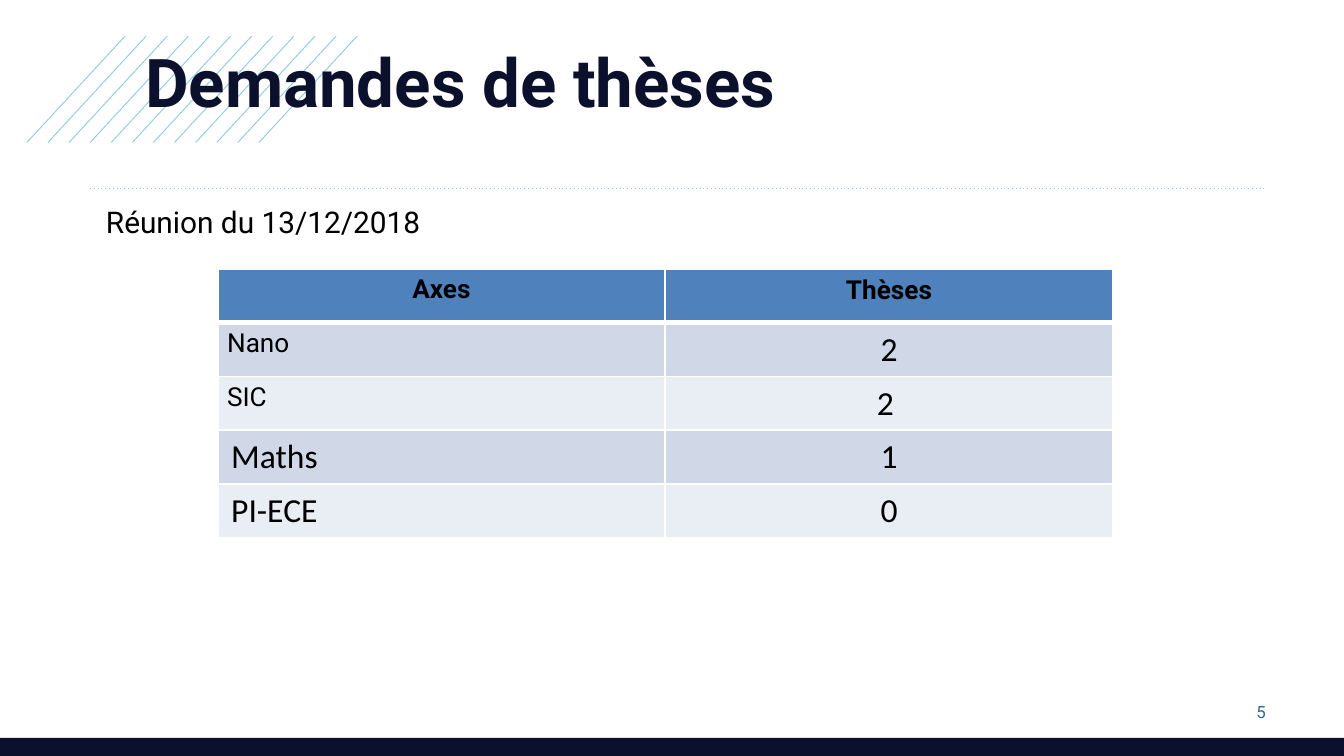
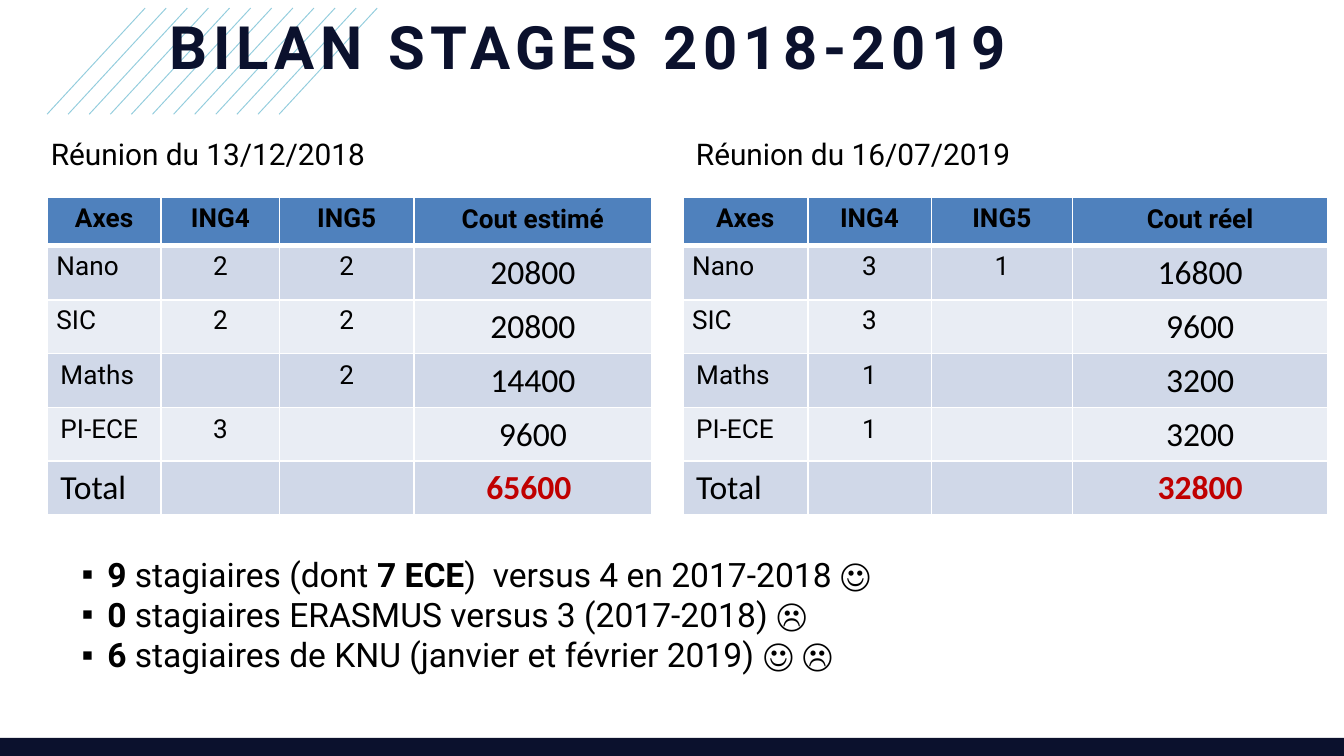
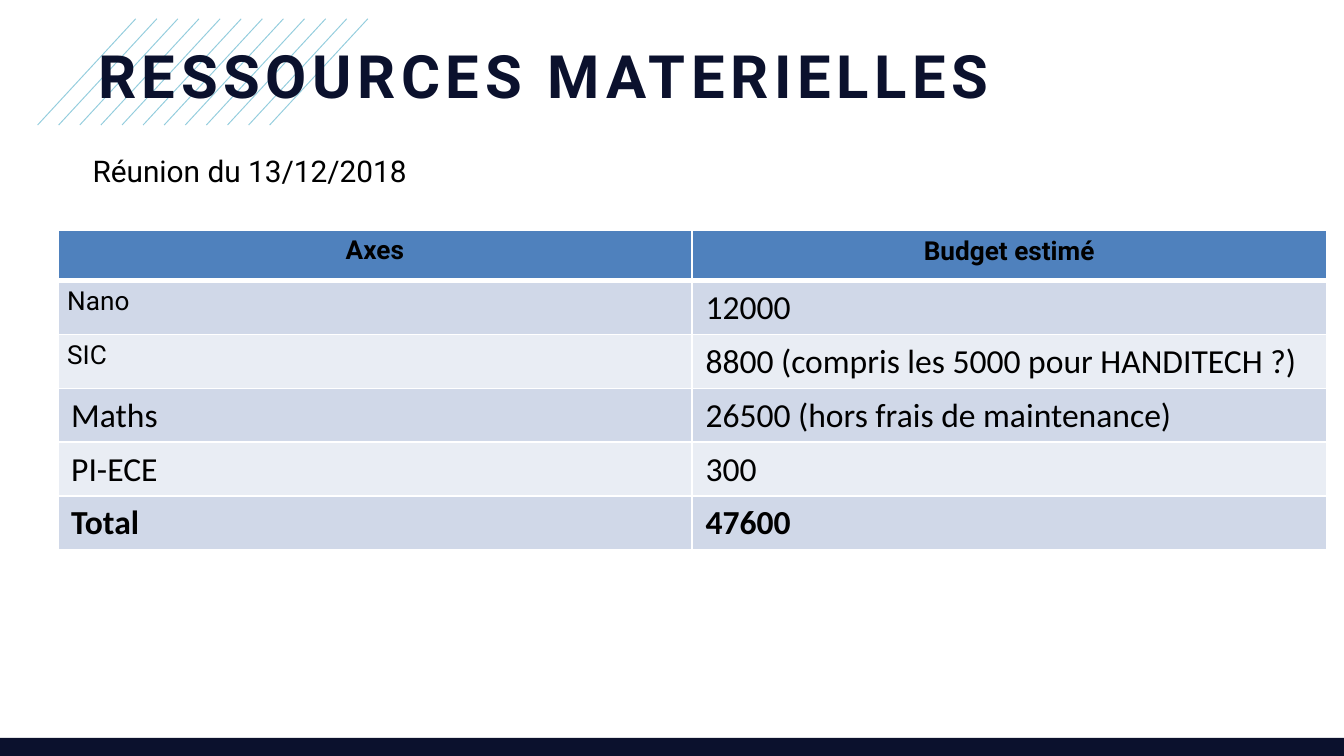
from pptx import Presentation
from pptx.dml.color import RGBColor
from pptx.enum import dml, shapes, text
from pptx.oxml import parse_xml
from pptx.oxml.ns import nsdecls
from pptx.util import Inches, Pt

NAVY, SKY, BLUE, RED = "0B112D", "93CDDD", "336699", "C00000"
HEAD, BANDS = "4F81BD", ("E9EDF4", "D0D8E8")
BLACK, WHITE = "000000", "FFFFFF"
LEFT, MID = text.PP_ALIGN.LEFT, text.PP_ALIGN.CENTER


def tint(part, code):
    """Give a font, fill or line its colour from a hex string."""
    if hasattr(part, "solid"):
        part.solid()
        part.fore_color.rgb = RGBColor.from_string(code)
    else:
        part.color.rgb = RGBColor.from_string(code)


def put(para, words, size, code=BLACK, bold=False, face="Roboto"):
    """Add one formatted run to a paragraph."""
    run = para.add_run()
    run.text = words
    run.font.size, run.font.name, run.font.bold = Pt(size), face, bold
    tint(run.font, code)
    return run


# Per table: place, column widths, header and body row heights, count of body
# rows in small type, alignment of last column, rows of text.
# Per slide: title, its place and size, tracking, hatch corner, dates, tables.
pages = [
    dict(
        title="Demandes de thèses", at=(0.98, 0.25, 9.14, 0.71), size=36, track=0,
        hatch=(0.2, 0.27),
        dates=[("Réunion du 13/12/2018", 0.69, 1.47)],
        tables=[
            dict(at=(1.62, 2), cols=(3.33, 3.33), high=(0.4, 0.4), small=2, side=MID,
                 rows=[("Axes", "Thèses"), ("Nano", "2"), ("SIC", "2 "),
                       ("Maths", "1"), ("PI-ECE", "0")]),
        ],
    ),
    dict(
        title="BILAN STAGES 2018-2019", at=(1.16, 0.02, 8.23, 0.64), size=32, track=3,
        hatch=(0.35, 0.06),
        dates=[("Réunion du 13/12/2018", 0.28, 0.96),
               ("Réunion du 16/07/2019", 5.08, 0.96)],
        tables=[
            dict(at=(0.35, 1.47), cols=(0.85, 0.88, 1, 1.77), high=(0.36, 0.4),
                 small=4, side=MID, sum=RED,
                 rows=[("Axes", "ING4", "ING5", "Cout estimé"),
                       ("Nano", "2", "2", "20800"),
                       ("SIC", "2", "2", "20800"),
                       ("Maths", "", "2", "14400"),
                       ("PI-ECE", "3", "", "9600"),
                       ("Total", "", "", "65600 ")]),
            dict(at=(5.08, 1.47), cols=(0.93, 0.92, 1.05, 1.9), high=(0.36, 0.4),
                 small=4, side=MID, sum=RED,
                 rows=[("Axes", "ING4", "ING5", "Cout réel"),
                       ("Nano", "3", "1", "16800"),
                       ("SIC", "3", "", "9600"),
                       ("Maths", "1", "", "3200"),
                       ("PI-ECE", "1", "", "3200"),
                       ("Total", "", "", "32800")]),
        ],
    ),
    dict(
        title="RESSOURCES MATERIELLES", at=(0.63, 0.24, 8.23, 0.64), size=32, track=3,
        hatch=(0.28, 0.14),
        dates=[("Réunion du 13/12/2018", 0.59, 1.09)],
        tables=[
            dict(at=(0.43, 1.71), cols=(4.72, 4.72), high=(0.38, 0.4), small=2,
                 side=LEFT, sum=BLACK,
                 rows=[("Axes", "Budget estimé"), ("Nano", "12000"),
                       ("SIC", "8800 (compris les 5000 pour HANDITECH ?)"),
                       ("Maths", "26500 (hors frais de maintenance)"),
                       ("PI-ECE", "300"), ("Total", "47600")]),
        ],
    ),
]

deck = Presentation()
deck.slide_width = Inches(10)
deck.slide_height = deck.slide_width * 9 // 16
slides = []

for page in pages:
    slide = deck.slides.add_slide(deck.slide_layouts[5])
    slides.append(slide)

    # Hatching behind the title, and the dotted rule of the first slide
    x, y = page["hatch"]
    group = slide.shapes.add_group_shape()
    lines = [(group, x + 0.73 + i * 0.157, y, x + i * 0.157, y + 0.79) for i in range(12)]
    if page is pages[0]:
        lines.append((slide, 0.67, 1.4, 9.41, 1.4))
    for owner, *ends in lines:
        line = owner.shapes.add_connector(
            shapes.MSO_CONNECTOR.STRAIGHT, *[Inches(v) for v in ends])
        tint(line.line, SKY)
        line.line.width = Pt(0.5)
        line._element.spPr.append(parse_xml(f"<a:effectLst {nsdecls('a')}/>"))
        if owner is slide:
            line.line.dash_style = dml.MSO_LINE.ROUND_DOT
            line._element.xpath(".//a:prstDash")[0].set("val", "dot")

    band = slide.shapes.add_shape(
        shapes.MSO_SHAPE.RECTANGLE, 0, Inches(5.49), Inches(10), Inches(0.14))
    band.shadow.inherit = False
    tint(band.fill, NAVY)
    band.line.fill.background()

    title = slide.shapes.title
    slide.shapes._spTree.append(title._element)  # bring in front of the hatching
    title.left, title.top, title.width, title.height = [Inches(v) for v in page["at"]]
    frame = title.text_frame
    frame.word_wrap = True
    frame.auto_size = text.MSO_AUTO_SIZE.SHAPE_TO_FIT_TEXT
    frame.vertical_anchor = text.MSO_ANCHOR.TOP
    frame.paragraphs[0].alignment = LEFT
    run = put(frame.paragraphs[0], page["title"], page["size"], NAVY, True)
    run.font._element.set("spc", str(page["track"] * 100))

    for words, x, y in page["dates"]:
        box = slide.shapes.add_textbox(Inches(x), Inches(y), Inches(3.15), Inches(0.67))
        box.text_frame.word_wrap = True
        put(box.text_frame.paragraphs[0], words, 16)

    for data in page["tables"]:
        rows, cols = data["rows"], data["cols"]
        first, rest = data["high"]
        high = [first] + [rest] * (len(rows) - 1)
        x, y = data["at"]
        grid = slide.shapes.add_table(
            len(rows), len(cols), Inches(x), Inches(y),
            Inches(sum(cols)), Inches(sum(high))).table
        grid.horz_banding = False
        for col, wide in zip(grid.columns, cols):
            col.width = Inches(wide)
        for r, row in enumerate(rows):
            grid.rows[r].height = Inches(high[r])
            for c, words in enumerate(row):
                cell = grid.cell(r, c)
                last = c == len(row) - 1
                for edge in "LRTB":
                    thick = 3 if (r, edge) in ((0, "B"), (1, "T")) else 1
                    cell._tc.get_or_add_tcPr().append(parse_xml(
                        f'<a:ln{edge} {nsdecls("a")} w="{Pt(thick)}"><a:solidFill>'
                        f'<a:srgbClr val="{WHITE}"/></a:solidFill></a:ln{edge}>'))
                tint(cell.fill, BANDS[r % 2] if r else HEAD)
                if r < 3 and not last:
                    cell.margin_left = cell.margin_right = Inches(0.07)
                    cell.margin_top = cell.margin_bottom = Inches(0.04)
                para = cell.text_frame.paragraphs[0]
                if r == 0:
                    para.alignment = MID
                elif c:
                    para.alignment = data["side"] if last else MID
                if not words:
                    continue
                total = row[0] == "Total"
                code = data["sum"] if total and last else BLACK
                bold = r == 0 or total and (last or data["sum"] == BLACK)
                if r == 0 or r <= data["small"] and not last:
                    put(para, words, 14, code, bold)
                else:
                    put(para, words, 18, code, bold, "Calibri")

# Page number of the first slide
box = slides[0].shapes.add_textbox(Inches(9.25), Inches(5.1), Inches(2.33), Inches(0.39))
box.text_frame.word_wrap = True
box.text_frame.vertical_anchor = text.MSO_ANCHOR.MIDDLE
put(box.text_frame.paragraphs[0], "5", 9, BLUE)

# Trainee counts of the second slide: runs alternate bold and plain
notes = [
    ("9", " stagiaires (dont ", "7 ECE", ")  versus 4 en 2017-2018 ☺"),
    ("0", " stagiaires ERASMUS versus 3 (2017-2018) ☹"),
    ("6", " stagiaires de KNU (janvier et février 2019) ☺ ☹"),
]
box = slides[1].shapes.add_textbox(Inches(0.51), Inches(4.07), Inches(7.4), Inches(2.22))
frame = box.text_frame
frame.word_wrap = True
for i, note in enumerate(notes):
    para = frame.add_paragraph() if i else frame.paragraphs[0]
    props = para._p.get_or_add_pPr()
    props.set("marL", str(Inches(0.19)))
    props.set("indent", str(-Inches(0.19)))
    props.append(parse_xml(f'<a:buFont {nsdecls("a")} typeface="Arial"/>'))
    props.append(parse_xml(f'<a:buChar {nsdecls("a")} char="▪"/>'))
    for k, words in enumerate(note):
        put(para, words, 18, bold=k % 2 == 0)

deck.save("out.pptx")
